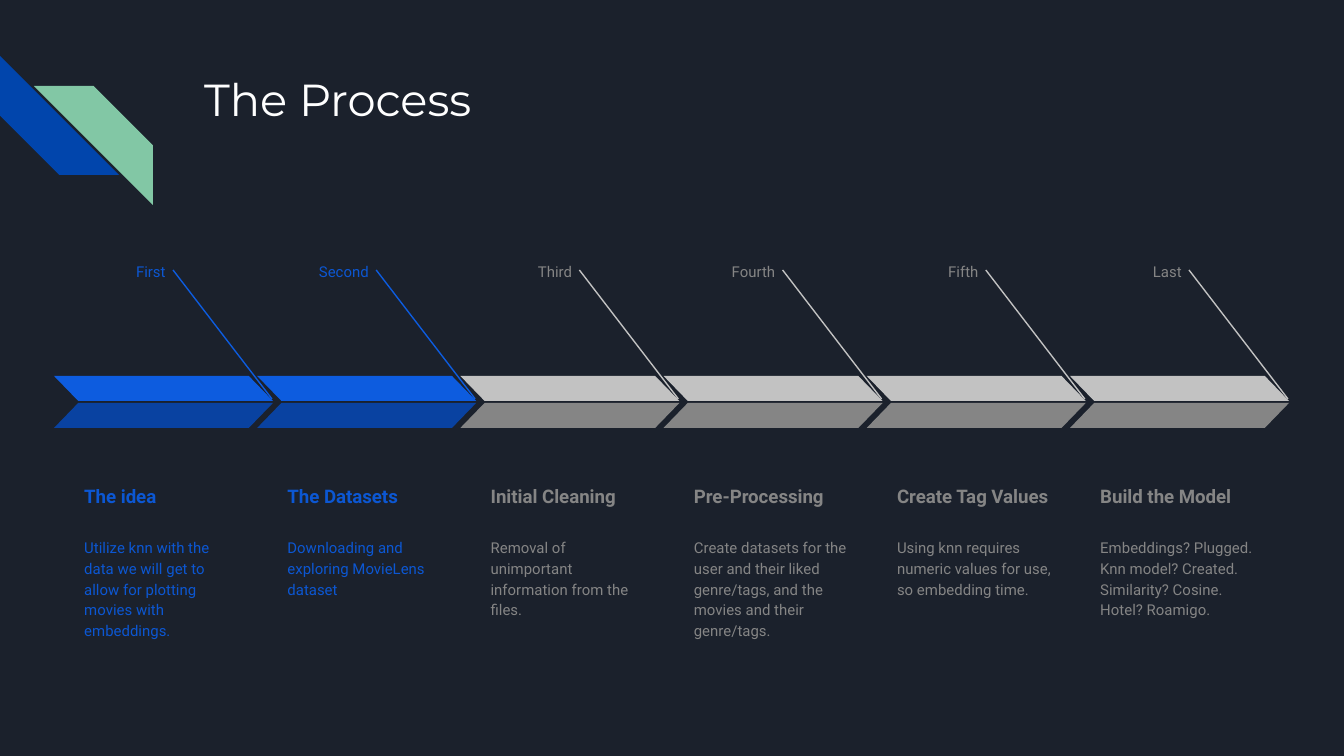
import copy

import pptx
import pptx.dml.color
import pptx.enum.shapes
import pptx.enum.text
import pptx.oxml
import pptx.oxml.ns
import pptx.util

# Content
TITLE = "The Process"
STEPS = [  # label, heading, body, tone
    ("First", "The idea",
     "Utilize knn with the data we will get to allow for plotting movies with embeddings.", "done"),
    ("Second", "The Datasets", "Downloading and exploring MovieLens dataset", "done"),
    ("Third", "Initial Cleaning", "Removal of unimportant information from the files.", "todo"),
    ("Fourth", "Pre-Processing",
     "Create datasets for the user and their liked genre/tags, and the movies and their genre/tags.",
     "todo"),
    ("Fifth", "Create Tag Values",
     "Using knn requires numeric values for use, so embedding time.", "todo"),
    ("Last", "Build the Model",
     "Embeddings? Plugged.\nKnn model? Created.\nSimilarity? Cosine.\nHotel? Roamigo.", "todo"),
]
COLORS = {"back": "1B212C", "title": "FFFFFF", "blue": "0145AC", "green": "82C7A5"}
TONES = {
    "done": {"light": "0D5CDF", "dark": "0942A1", "text": "0C57D3"},
    "todo": {"light": "C2C2C2", "dark": "858585", "text": "858585"},
}

# Layout, in px
PX = 914400 / 134.4
LEFT, PITCH = 54, 203.2
BAR_W, BAR_H, BAR_TOP, BAR_LOW = 219, 25, 376, 403
INSET = 13.44

SHAPE = pptx.enum.shapes.MSO_SHAPE
ALIGN = pptx.enum.text.PP_ALIGN
ANCHOR = pptx.enum.text.MSO_ANCHOR
qn = pptx.oxml.ns.qn


def emu(*lengths):
    return [pptx.util.Emu(round(v * PX)) for v in lengths]


def rgb(value):
    return pptx.dml.color.RGBColor.from_string(value)


def add_block(shapes, kind, box, fill, adj, flip=False, rotation=0):
    sp = shapes.add_shape(kind, *emu(*box))
    sp.shadow.inherit = False
    sp.adjustments[0] = adj
    sp.rotation = rotation
    sp.fill.solid()
    sp.fill.fore_color.rgb = rgb(fill)
    sp.line.fill.background()
    if flip:
        sp._element.spPr.xfrm.set("flipH", "1")


def add_text(shapes, box, text, color, font, align=ALIGN.LEFT, anchor=ANCHOR.TOP, spacing=1.15):
    tf = shapes.add_textbox(*emu(*box)).text_frame
    frame = {"word_wrap": True, "vertical_anchor": anchor}
    frame.update({f"margin_{side}": emu(INSET)[0] for side in ("left", "top", "right", "bottom")})
    for name, value in frame.items():
        setattr(tf, name, value)
    p = tf.paragraphs[0]
    p.text = text
    p.alignment, p.line_spacing = align, spacing
    for r in p.runs:
        for name, value in font.items():
            setattr(r.font, name, value)
        r.font.color.rgb = rgb(color)
    # Line breaks take the size of the text around them
    for br in p._p.findall(qn("a:br")):
        br.append(copy.deepcopy(p.runs[0]._r.rPr))


def add_pointer(shapes, ends, color):
    line = shapes.add_connector(pptx.enum.shapes.MSO_CONNECTOR.STRAIGHT, *emu(*ends))
    line.line.color.rgb = rgb(color)
    line.line.width = pptx.util.Pt(0.75)
    line._element.spPr.append(pptx.oxml.parse_xml(
        '<a:effectLst xmlns:a="http://schemas.openxmlformats.org/drawingml/2006/main"/>'))


prs = pptx.Presentation()
prs.slide_width, prs.slide_height = emu(1344, 756)
s = prs.slides.add_slide(prs.slide_layouts[6])
s.background.fill.solid()
s.background.fill.fore_color.rgb = rgb(COLORS["back"])

# Corner stripes
stripes = s.shapes.add_group_shape().shapes
add_block(stripes, SHAPE.DIAGONAL_STRIPE, (0, 56, 119, 119), COLORS["blue"], 0.5, rotation=270)
add_block(stripes, SHAPE.DIAGONAL_STRIPE, (34, 86, 119, 119), COLORS["green"], 0.5, flip=True)

# Title
add_text(s.shapes, (191, 58, 1035, 134), TITLE, COLORS["title"],
         {"name": "Montserrat", "size": pptx.util.Pt(24)}, spacing=1.0)

# Steps
small = {"name": "Roboto", "size": pptx.util.Pt(8)}
strong = {"name": "Roboto", "size": pptx.util.Pt(10), "bold": True}
for i, (label, heading, body, tone_name) in enumerate(STEPS):
    x = LEFT + i * PITCH
    tone = TONES[tone_name]
    step = s.shapes.add_group_shape().shapes
    add_pointer(step, (x + 119, 270, x + 218, 399), tone["light"])
    add_block(step, SHAPE.PARALLELOGRAM, (x, BAR_TOP, BAR_W, BAR_H), tone["light"], 0.97, flip=True)
    add_block(step, SHAPE.PARALLELOGRAM, (x, BAR_LOW, BAR_W, BAR_H), tone["dark"], 0.97)
    add_text(step, (x + 17, 443, 181, 77), heading, tone["text"], strong, anchor=ANCHOR.BOTTOM)
    add_text(step, (x + 17, 523, 181, 128), body, tone["text"], small)
    add_text(step, (x + 40, 250, 85, 42), label, tone["text"], small, align=ALIGN.RIGHT)

prs.save("out.pptx")
